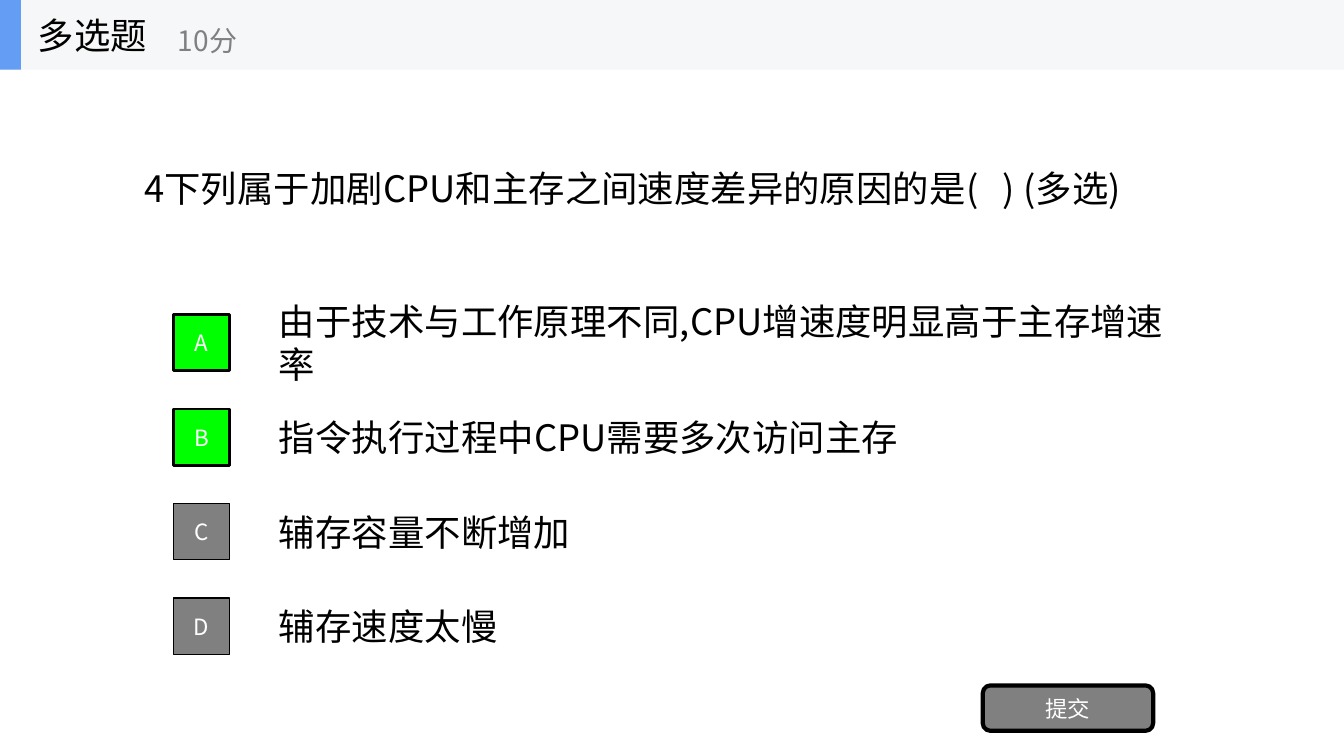
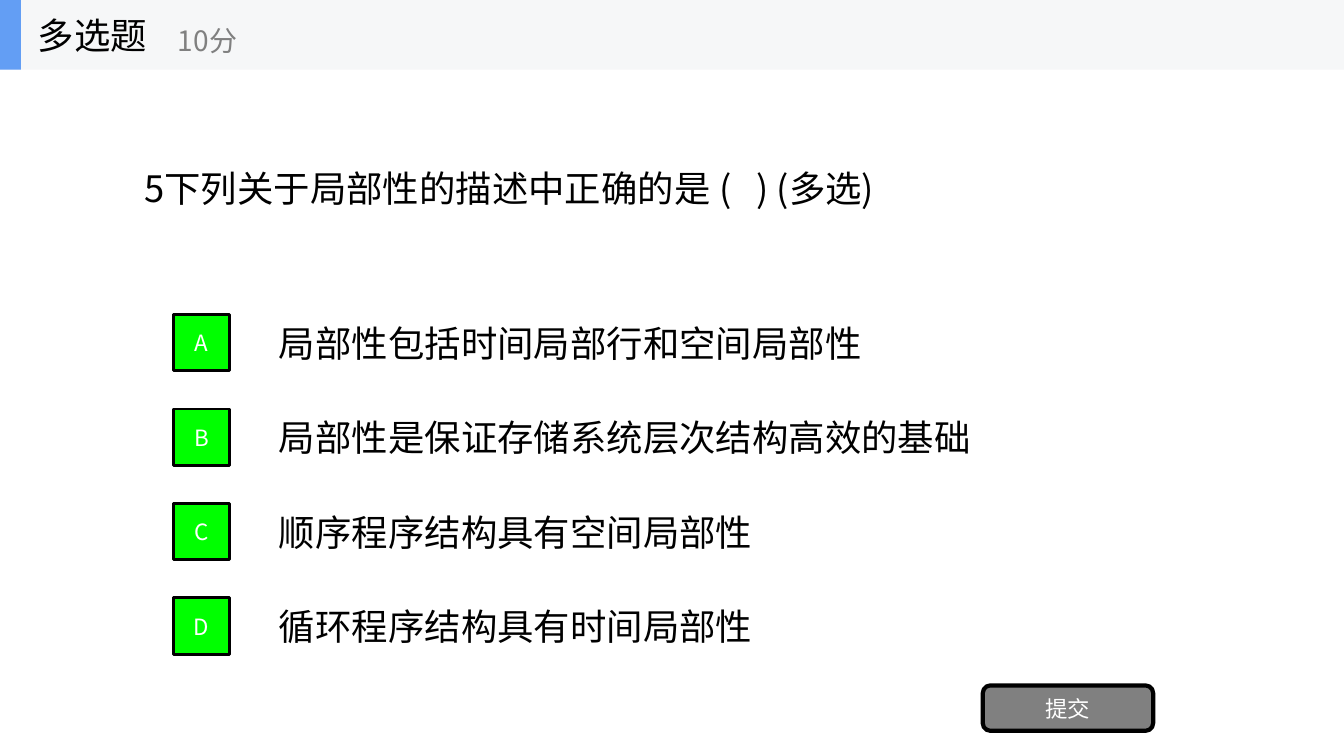
from dataclasses import dataclass

from lxml import etree
from pptx import Presentation
from pptx.dml.color import RGBColor
from pptx.enum.shapes import MSO_SHAPE
from pptx.enum.text import MSO_ANCHOR, MSO_AUTO_SIZE, PP_ALIGN
from pptx.oxml.ns import qn
from pptx.util import Pt

RECT, ROUND_RECT = MSO_SHAPE.RECTANGLE, MSO_SHAPE.ROUNDED_RECTANGLE
LEFT, CENTER = PP_ALIGN.LEFT, PP_ALIGN.CENTER
MIDDLE = MSO_ANCHOR.MIDDLE
NO_AUTOFIT = MSO_AUTO_SIZE.NONE
TITLE_ONLY = 5


@dataclass(frozen=True)
class Theme:
    font: str = "Noto Sans CJK SC"
    text: str = "000000"
    white: str = "FFFFFF"
    gray: str = "808080"
    correct: str = "00FF00"
    band: str = "F6F7F8"
    accent: str = "639EF4"
    body_size: int = 26
    score_size: int = 20
    label_size: int = 16


T = Theme()
SLIDE_W, SLIDE_H = 960, 540

# Regions: left, top, width, height in points
HEADER = (0, 0, SLIDE_W, 49.7)
QUESTION = (95.8, 115.2, 0, 38.6)
OPTIONS = (123.8, 224.6, 0, 4 * 67.5)
SUBMIT = (702, 489.6, 121.7, 32.4)

# Each question: text, its width, then options (text, width, is correct)
QUESTIONS = [
    ("4下列属于加剧CPU和主存之间速度差异的原因的是(   ) (多选)", 753.1, [
        ("由于技术与工作原理不同,CPU增速度明显高于主存增速率", 671.8, True),
        ("指令执行过程中CPU需要多次访问主存", 465.1, True),
        ("辅存容量不断增加", 230.4, False),
        ("辅存速度太慢", 177.8, False),
    ]),
    ("5下列关于局部性的描述中正确的是 (   ) (多选)", 545, [
        ("局部性包括时间局部行和空间局部性", 438.5, True),
        ("局部性是保证存储系统层次结构高效的基础", 516.2, True),
        ("顺序程序结构具有空间局部性", 360, True),
        ("循环程序结构具有时间局部性", 360, True),
    ]),
]


def rgb(value):
    return RGBColor.from_string(value)


def points(*lengths):
    return [Pt(length) for length in lengths]


def write(sp, text, size, color, align=LEFT):
    """Fill a shape with one vertically centred paragraph."""
    tf = sp.text_frame
    tf.word_wrap = True
    tf.auto_size = NO_AUTOFIT
    tf.vertical_anchor = MIDDLE
    p = tf.paragraphs[0]
    p.text = text
    p.alignment = align
    p.font.name = T.font
    p.font.size = Pt(size)
    p.font.color.rgb = rgb(color)
    # East Asian typeface follows the Latin one
    props = p._p.pPr.find(qn("a:defRPr"))
    etree.SubElement(props, qn("a:ea")).set("typeface", T.font)


def add_text(shapes, box, text, size=T.body_size, color=T.text):
    write(shapes.add_textbox(*points(*box)), text, size, color)


def add_block(shapes, kind, box, fill, line_width=0, label=""):
    sp = shapes.add_shape(kind, *points(*box))
    sp.shadow.inherit = False
    sp.fill.solid()
    sp.fill.fore_color.rgb = rgb(fill)
    if line_width:
        sp.line.color.rgb = rgb(T.text)
        sp.line.width = Pt(line_width)
    else:
        sp.line.fill.background()
    if label:
        write(sp, label, T.label_size, T.white, CENTER)


def add_header(s, box):
    """Band with accent bar, question type and score."""
    x, y, w, h = box
    shapes = s.shapes.add_group_shape().shapes
    add_block(shapes, RECT, box, T.band)
    add_block(shapes, RECT, (x, y, 15, h), T.accent)
    add_text(shapes, (x + 20, y, 150, h), "多选题")
    add_text(shapes, (x + 120, y + 8.8, 180, 40.3), "10分", T.score_size, T.gray)


def add_title(s, box, text):
    title = s.shapes.title
    title.left, title.top, title.width, title.height = points(*box)
    write(title, text, T.body_size, T.text)


def add_options(s, box, options):
    """Lettered badges with answers, spaced evenly down the box."""
    x, y, _, h = box
    pitch, side = h / len(options), 40.3
    for i, (letter, (text, width, correct)) in enumerate(zip("ABCD", options)):
        top = y + i * pitch
        add_text(s.shapes, (x + 68.4, top + 1, width, 38.2), text)
        fill, line_width = (T.correct, 2) if correct else (T.gray, 1)
        add_block(s.shapes, RECT, (x, top, side, side), fill, line_width, letter)


def add_question_slide(prs, question, width, options):
    s = prs.slides.add_slide(prs.slide_layouts[TITLE_ONLY])
    x, y, _, h = QUESTION
    add_title(s, (x, y, width, h), question)
    add_options(s, OPTIONS, options)
    add_block(s.shapes, ROUND_RECT, SUBMIT, T.gray, 3, "提交")
    add_header(s, HEADER)


def main():
    prs = Presentation()
    prs.slide_width, prs.slide_height = points(SLIDE_W, SLIDE_H)
    for question in QUESTIONS:
        add_question_slide(prs, *question)
    prs.save("out.pptx")


if __name__ == "__main__":
    main()
